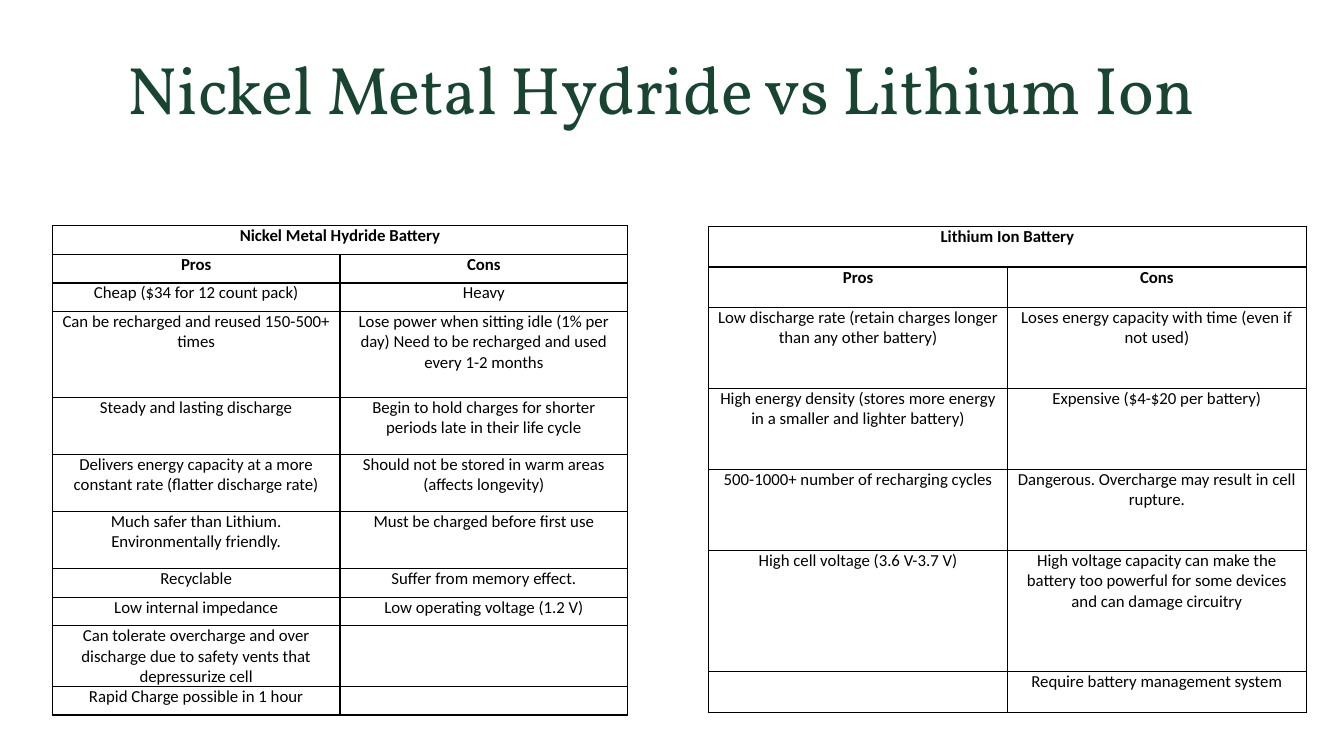
from dataclasses import dataclass

from lxml import etree
from pptx import Presentation
from pptx.dml.color import RGBColor
from pptx.enum.text import MSO_ANCHOR, PP_ALIGN
from pptx.oxml.ns import qn
from pptx.slide import Slide
from pptx.table import _Cell
from pptx.util import Cm, Pt

CENTER = PP_ALIGN.CENTER
MIDDLE = MSO_ANCHOR.MIDDLE
GREEN = RGBColor(0x19, 0x44, 0x31)
BLACK = RGBColor(0x00, 0x00, 0x00)
WHITE = RGBColor(0xFF, 0xFF, 0xFF)
HEADING_ROWS = 2


@dataclass
class BatteryTable:
    name: str
    left: float
    top: float
    column_width: float
    line_height: float
    rows: list[tuple[int, str, str]]


BATTERIES = [
    BatteryTable("Lithium Ion Battery", 17.86, 5.71, 7.53, 1.02, [
        (2, "Low discharge rate (retain charges longer than any other battery)",
         "Loses energy capacity with time (even if not used)"),
        (2, "High energy density (stores more energy in a smaller and lighter battery)",
         "Expensive ($4-$20 per battery)"),
        (2, "500-1000+ number of recharging cycles",
         "Dangerous. Overcharge may result in cell rupture."),
        (3, "High cell voltage (3.6 V-3.7 V)",
         "High voltage capacity can make the battery too powerful for some devices "
         "and can damage circuitry"),
        (1, "", "Require battery management system"),
    ]),
    BatteryTable("Nickel Metal Hydride Battery", 1.32, 5.69, 7.25, 0.72, [
        (1, "Cheap ($34 for 12 count pack)", "Heavy"),
        (3, "Can be recharged and reused 150-500+ times",
         "Lose power when sitting idle (1% per day) Need to be recharged and used "
         "every 1-2 months"),
        (2, "Steady and lasting discharge",
         "Begin to hold charges for shorter periods late in their life cycle"),
        (2, "Delivers energy capacity at a more constant rate (flatter discharge rate)",
         "Should not be stored in warm areas (affects longevity)"),
        (2, "Much safer than Lithium. Environmentally friendly.",
         "Must be charged before first use"),
        (1, "Recyclable", "Suffer from memory effect."),
        (1, "Low internal impedance", "Low operating voltage (1.2 V)"),
        (2, "Can tolerate overcharge and over discharge due to safety vents that "
         "depressurize cell", ""),
        (1, "Rapid Charge possible in 1 hour", ""),
    ]),
]


def add_borders(cell: _Cell) -> None:
    properties = cell._tc.get_or_add_tcPr()
    for side in ("a:lnL", "a:lnR", "a:lnT", "a:lnB"):
        line = etree.SubElement(properties, qn(side), w=str(Pt(1)))
        fill = etree.SubElement(line, qn("a:solidFill"))
        etree.SubElement(fill, qn("a:srgbClr"), val=str(BLACK))


def fill_cell(cell: _Cell, text: str, bold: bool) -> None:
    add_borders(cell)
    cell.fill.solid()
    cell.fill.fore_color.rgb = WHITE
    cell.margin_left = cell.margin_right = Cm(0.19)
    cell.margin_top = cell.margin_bottom = 0
    cell.text = text
    paragraph = cell.text_frame.paragraphs[0]
    paragraph.alignment = CENTER
    paragraph.font.name = "Calibri"
    paragraph.font.size = Pt(12)
    paragraph.font.bold = bold
    paragraph.font.color.rgb = BLACK


def add_battery_table(slide: Slide, battery: BatteryTable) -> None:
    rows = [(1, battery.name, ""), (1, "Pros", "Cons"), *battery.rows]
    height = battery.line_height * sum(lines for lines, _, _ in rows)
    table = slide.shapes.add_table(
        len(rows), 2, Cm(battery.left), Cm(battery.top),
        Cm(2 * battery.column_width), Cm(height)).table
    table.first_row = False
    table.horz_banding = False
    for column in table.columns:
        column.width = Cm(battery.column_width)
    for index, (lines, *texts) in enumerate(rows):
        table.rows[index].height = Cm(lines * battery.line_height)
        for cell, text in zip(table.rows[index].cells, texts):
            fill_cell(cell, text, index < HEADING_ROWS)
    table.cell(0, 0).merge(table.cell(0, 1))


def add_title(slide: Slide, text: str) -> None:
    title = slide.shapes.add_textbox(Cm(2.29), Cm(0.23), Cm(28.75), Cm(3.94))
    frame = title.text_frame
    frame.word_wrap = True
    frame.vertical_anchor = MIDDLE
    frame.text = text
    paragraph = frame.paragraphs[0]
    paragraph.alignment = CENTER
    paragraph.font.name = "Vollkorn"
    paragraph.font.size = Pt(48)
    paragraph.font.color.rgb = GREEN


def main() -> None:
    presentation = Presentation()
    presentation.slide_width = Cm(33.87)
    presentation.slide_height = Cm(19.05)
    slide = presentation.slides.add_slide(presentation.slide_layouts[6])
    add_title(slide, "Nickel Metal Hydride vs Lithium Ion")
    for battery in BATTERIES:
        add_battery_table(slide, battery)
    presentation.save("out.pptx")


if __name__ == "__main__":
    main()
